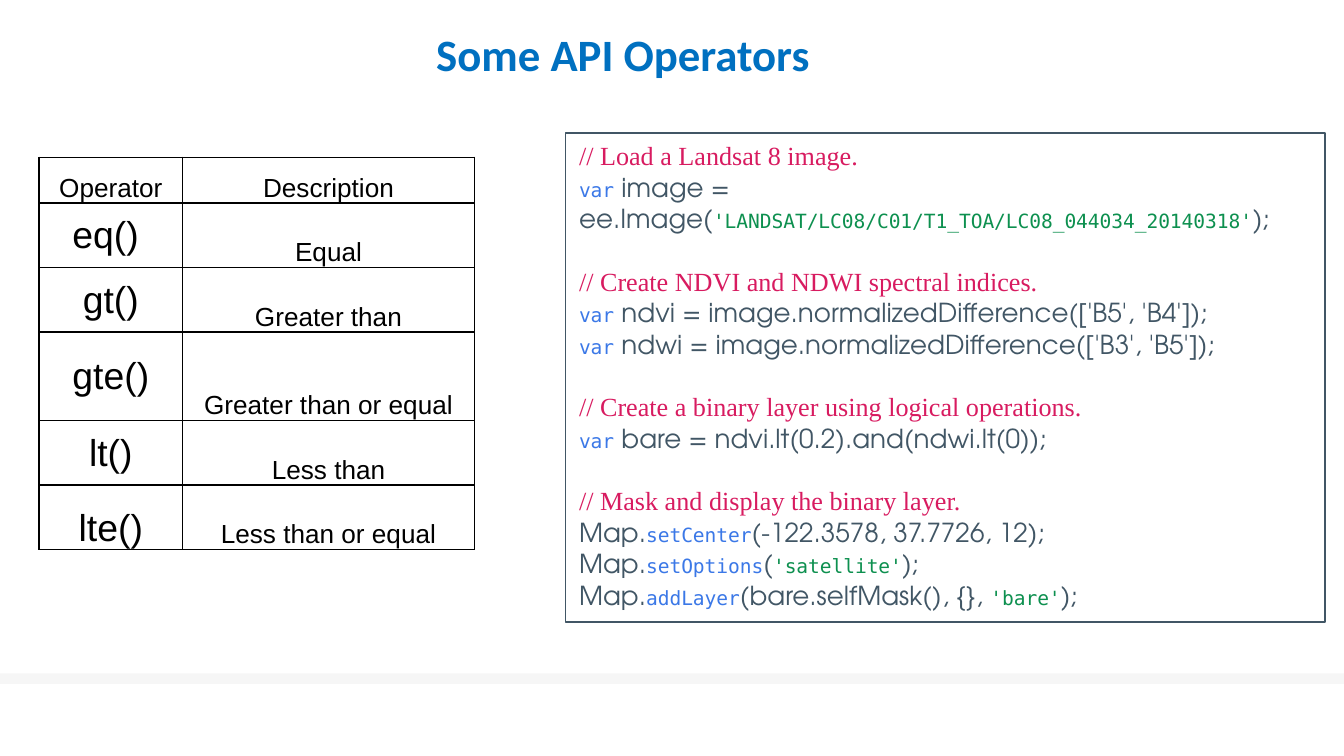
from lxml.etree import SubElement
from pptx import Presentation
from pptx.dml.color import RGBColor
from pptx.enum.shapes import MSO_SHAPE
from pptx.enum.text import MSO_ANCHOR, PP_ALIGN
from pptx.oxml.ns import qn
from pptx.util import Inches, Pt

BLACK = RGBColor(0, 0, 0)
BLUE = RGBColor(0x00, 0x70, 0xC0)
LIGHT_GRAY = RGBColor(0xF6, 0xF6, 0xF6)
SLATE = RGBColor(0x41, 0x56, 0x65)
PINK = RGBColor(0xD8, 0x1B, 0x60)
KEYWORD_BLUE = RGBColor(0x3B, 0x78, 0xE7)
STRING_GREEN = RGBColor(0x0D, 0x90, 0x4F)

STYLES = {
    "comment": dict(size=14, font="Times New Roman", color=PINK),
    "keyword": dict(size=10.5, font="DejaVu Sans Mono", color=KEYWORD_BLUE),
    "string": dict(size=10.5, font="DejaVu Sans Mono", color=STRING_GREEN),
    "plain": dict(size=14, font="TeX Gyre Adventor", color=SLATE),
}
LINE_PITCH = Pt(16.8)

CODE_BLOCKS = [
    [
        [("comment", "// Load a Landsat 8 image.")],
        [("keyword", "var"), ("plain", " image = ee.Image("),
         ("string", "'LANDSAT/LC08/C01/T1_TOA/LC08_044034_20140318'"), ("plain", ");")],
    ],
    [
        [("comment", "// Create NDVI and NDWI spectral indices.")],
        [("keyword", "var"), ("plain", " ndvi = image.normalizedDifference(['B5', 'B4']);")],
        [("keyword", "var"), ("plain", " ndwi = image.normalizedDifference(['B3', 'B5']);")],
    ],
    [
        [("comment", "// Create a binary layer using logical operations.")],
        [("keyword", "var"), ("plain", " bare = ndvi.lt(0.2).and(ndwi.lt(0));")],
    ],
    [
        [("comment", "// Mask and display the binary layer.")],
        [("plain", "Map."), ("keyword", "setCenter"), ("plain", "(-122.3578, 37.7726, 12);")],
        [("plain", "Map."), ("keyword", "setOptions"), ("plain", "("),
         ("string", "'satellite'"), ("plain", ");")],
        [("plain", "Map."), ("keyword", "addLayer"), ("plain", "(bare.selfMask(), {}, "),
         ("string", "'bare'"), ("plain", ");")],
    ],
]

OPERATORS = [
    ("Operator", "Description", 0.34),
    ("eq() ", "Equal", 0.48),
    ("gt()", "Greater than", 0.48),
    ("gte()", "Greater than or equal", 0.66),
    ("lt()", "Less than", 0.48),
    ("lte()", "Less than or equal", 0.48),
]


def add_text(p, text, size=14, font="Arial", color=BLACK, bold=False, align=PP_ALIGN.LEFT):
    """Append a formatted run to a paragraph."""
    p.alignment = align
    r = p.add_run()
    r.text = text
    r.font.size = Pt(size)
    r.font.name = font
    r.font.color.rgb = color
    r.font.bold = bold


def add_rect(s, left, top, width, height, fill=None, line=None):
    """Add a flat rectangle with an optional fill and outline."""
    sp = s.shapes.add_shape(MSO_SHAPE.RECTANGLE, Inches(left), Inches(top),
                            Inches(width), Inches(height))
    sp.shadow.inherit = False
    if fill is None:
        sp.fill.background()
    else:
        sp.fill.solid()
        sp.fill.fore_color.rgb = fill
    if line is None:
        sp.line.fill.background()
    else:
        sp.line.color.rgb = line
        sp.line.width = Pt(0.75)
    return sp


def add_title(s, text):
    """Add the centred slide title."""
    box = s.shapes.add_textbox(Inches(0.4), Inches(0.01), Inches(8.47), Inches(0.69))
    tf = box.text_frame
    tf.word_wrap = True
    tf.vertical_anchor = MSO_ANCHOR.BOTTOM
    tf.margin_left = tf.margin_right = tf.margin_top = tf.margin_bottom = Inches(0.1)
    add_text(tf.paragraphs[0], text, size=24, font="Calibri", color=BLUE,
             bold=True, align=PP_ALIGN.CENTER)


def set_borders(cell):
    """Draw a thin black line on each side of a cell."""
    tc_pr = cell._tc.get_or_add_tcPr()
    for side in ("a:lnL", "a:lnR", "a:lnT", "a:lnB"):
        ln = SubElement(tc_pr, qn(side), w=str(Pt(0.75)))
        fill = SubElement(ln, qn("a:solidFill"))
        SubElement(fill, qn("a:srgbClr"), val=str(BLACK))


def fill_cell(cell, text, size, anchor):
    """Format one table cell and write its text."""
    set_borders(cell)
    cell.fill.background()
    cell.vertical_anchor = anchor
    cell.margin_left = cell.margin_right = cell.margin_top = Inches(0.01)
    cell.margin_bottom = 0
    add_text(cell.text_frame.paragraphs[0], text, size=size, align=PP_ALIGN.CENTER)


def add_operator_table(s):
    """Add the table of operators and their descriptions."""
    frame = s.shapes.add_table(len(OPERATORS), 2, Inches(0.29), Inches(1.17),
                               Inches(3.24), Inches(2.92))
    table = frame.table
    table.first_row = table.horz_banding = False
    for column, width in zip(table.columns, (1.07, 2.17)):
        column.width = Inches(width)
    last = len(OPERATORS) - 1
    for i, (operator, description, height) in enumerate(OPERATORS):
        table.rows[i].height = Inches(height)
        anchor = MSO_ANCHOR.BOTTOM if i in (0, last) else MSO_ANCHOR.MIDDLE
        fill_cell(table.cell(i, 0), operator, 14 if i == 0 else 20, anchor)
        fill_cell(table.cell(i, 1), description, 14, MSO_ANCHOR.BOTTOM)


def add_code_box(s):
    """Add the outlined box with the highlighted code."""
    tf = add_rect(s, 4.21, 0.99, 5.65, 3.64, line=SLATE).text_frame
    tf.word_wrap = True
    tf.vertical_anchor = MSO_ANCHOR.TOP
    for b, block in enumerate(CODE_BLOCKS):
        for i, line in enumerate(block):
            p = tf.paragraphs[0] if b == i == 0 else tf.add_paragraph()
            p.line_spacing = LINE_PITCH
            if b > 0 and i == 0:
                p.space_before = LINE_PITCH
            for style, text in line:
                add_text(p, text, **STYLES[style])


def main():
    """Build the slide and save it."""
    prs = Presentation()
    prs.slide_width = Inches(10)
    prs.slide_height = Inches(10) * 9 // 16
    s = prs.slides.add_slide(prs.slide_layouts[6])
    add_rect(s, 0, 5.01, 10, 0.08, fill=LIGHT_GRAY)
    add_title(s, "Some API Operators")
    add_operator_table(s)
    add_code_box(s)
    prs.save("out.pptx")


if __name__ == "__main__":
    main()
